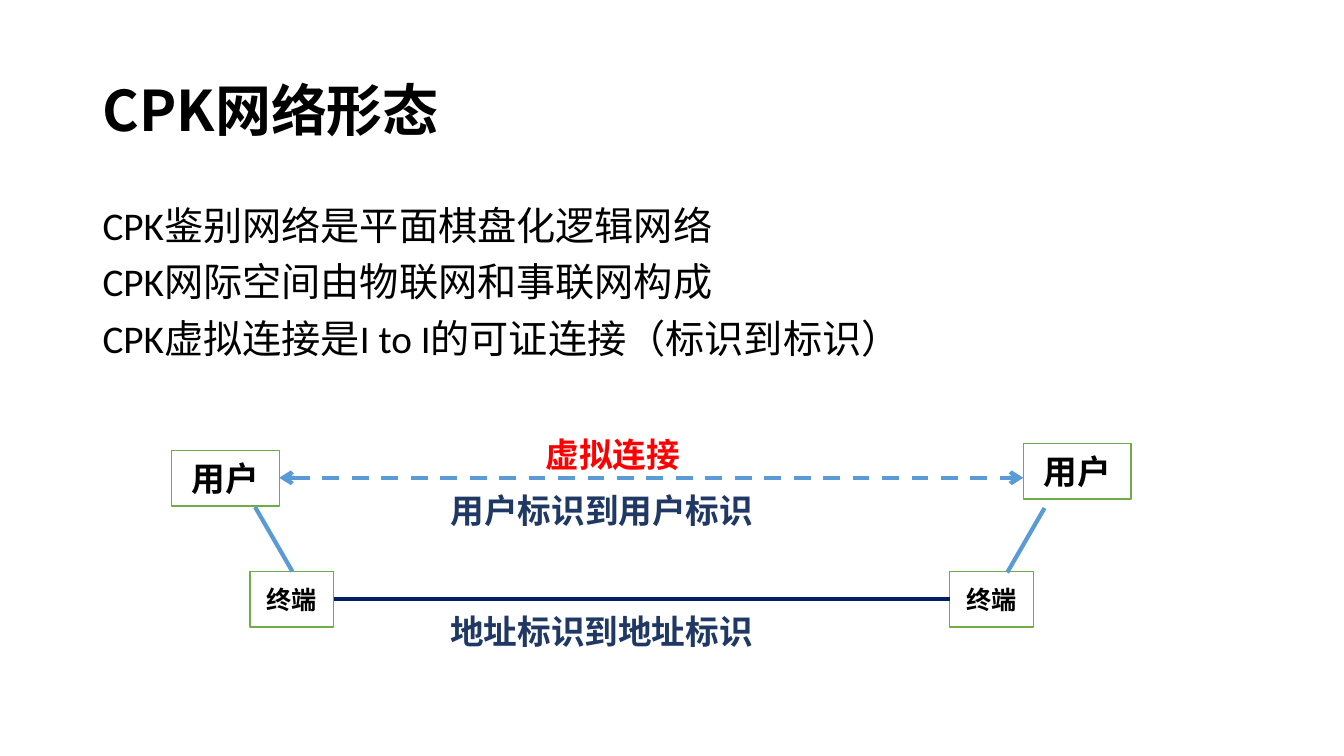
from lxml.etree import SubElement
from pptx import Presentation
from pptx.dml.color import RGBColor
from pptx.enum.dml import MSO_LINE
from pptx.enum.shapes import MSO_CONNECTOR, MSO_SHAPE
from pptx.enum.text import MSO_ANCHOR, PP_ALIGN
from pptx.oxml.ns import qn
from pptx.util import Inches, Pt

COLORS = {"text": "000000", "white": "FFFFFF", "box": "70AD47", "link": "5B9BD5",
          "cable": "002060", "label": "203864", "virtual": "FF0000"}
CJK_FONT = "Noto Sans CJK SC"


def color(name):
    """Return the named colour."""
    return RGBColor.from_string(COLORS[name])


def add_run(paragraph, text, size, ink="text", bold=True, latin=CJK_FONT):
    """Add one run with Latin and East Asian fonts."""
    run = paragraph.add_run()
    run.text = text
    run.font.size = Pt(size)
    run.font.bold = bold
    run.font.color.rgb = color(ink)
    run.font.name = latin
    SubElement(run.font._element, qn("a:ea"), typeface=CJK_FONT)


def add_text_frame(slide, box):
    """Add a wrapping text box and return its frame."""
    frame = slide.shapes.add_textbox(*map(Inches, box)).text_frame
    frame.word_wrap = True
    return frame


def add_title(slide, box):
    """Place the slide title."""
    frame = add_text_frame(slide, box)
    frame.vertical_anchor = MSO_ANCHOR.MIDDLE
    paragraph = frame.paragraphs[0]
    paragraph.line_spacing = 0.9
    add_run(paragraph, "CPK网络形态", 40)


def add_body(slide, box):
    """Place the three statements."""
    frame = add_text_frame(slide, box)
    statements = ("CPK鉴别网络是平面棋盘化逻辑网络",
                  "CPK网际空间由物联网和事联网构成",
                  "CPK虚拟连接是I to I的可证连接（标识到标识）")
    for index, statement in enumerate(statements):
        paragraph = frame.add_paragraph() if index else frame.paragraphs[0]
        paragraph.line_spacing = 0.9
        paragraph.space_before = Pt(10)
        add_run(paragraph, statement, 28, bold=False, latin="Calibri")


def add_block(slide, box, text, size=24, ink="text", outline=None):
    """Add a white rectangle with centred text."""
    shape = slide.shapes.add_shape(MSO_SHAPE.RECTANGLE, *map(Inches, box))
    shape.shadow.inherit = False
    shape.fill.solid()
    shape.fill.fore_color.rgb = color("white")
    if outline:
        shape.line.color.rgb = color(outline)
        shape.line.width = Pt(1)
    else:
        shape.line.fill.background()
    shape.text_frame.word_wrap = True
    shape.text_frame.vertical_anchor = MSO_ANCHOR.MIDDLE
    paragraph = shape.text_frame.paragraphs[0]
    paragraph.alignment = PP_ALIGN.CENTER
    add_run(paragraph, text, size, ink)


def add_link(slide, start, end, ink="link", two_way=False):
    """Add a line; a two-way link is dashed with arrows at both ends."""
    connector = slide.shapes.add_connector(
        MSO_CONNECTOR.STRAIGHT, *map(Inches, (*start, *end)))
    connector.line.color.rgb = color(ink)
    connector.line.width = Pt(3)
    if two_way:
        connector.line.dash_style = MSO_LINE.DASH
        for tag in ("a:headEnd", "a:tailEnd"):
            SubElement(connector.line._get_or_add_ln(), qn(tag), type="arrow")
    SubElement(connector._element.spPr, qn("a:effectLst"))


def add_network(slide, box):
    """Draw users, terminals and their connections."""
    left, top, width, height = box

    def at(x, y):
        return left + x, top + y

    user, terminal = (1.07, 0.55), (0.83, 0.55)
    right_user = width - user[0]
    left_terminal, right_terminal, terminal_top = 0.78, 7.72, 1.4
    cable_y, virtual_y = terminal_top + 0.27, 0.47

    for x in (left_terminal, right_terminal):
        add_block(slide, (*at(x, terminal_top), *terminal), "终端", 18, outline="box")
    add_link(slide, at(left_terminal + terminal[0], cable_y),
             at(right_terminal, cable_y), "cable")
    add_link(slide, at(0.83, 0.76), at(1.2, terminal_top))
    add_link(slide, at(8.66, 0.77), at(8.29, terminal_top + 0.01))

    for x, y, label_width, text, ink in (
            (2.47, 0.56, 3.6, "用户标识到用户标识", "label"),
            (2.59, 1.76, 3.35, "地址标识到地址标识", "label"),
            (3.36, 0, 2.04, "虚拟连接", "virtual")):
        add_block(slide, (*at(x, y), label_width, 0.47), text, ink=ink)
    add_link(slide, at(user[0], virtual_y), at(right_user, virtual_y), two_way=True)
    for x, y in ((0, 0.2), (right_user, 0.13)):
        add_block(slide, (*at(x, y), *user), "用户", outline="box")


def main():
    """Build and save the slide."""
    presentation = Presentation()
    presentation.slide_width = Inches(13.33)
    presentation.slide_height = Inches(7.5)
    slide = presentation.slides.add_slide(presentation.slide_layouts[6])
    add_title(slide, (0.92, 0.4, 11.5, 1.45))
    add_body(slide, (0.92, 2, 11.5, 2.2))
    add_network(slide, (1.7, 4.27, 9.52, 2.23))
    presentation.save("out.pptx")


main()
